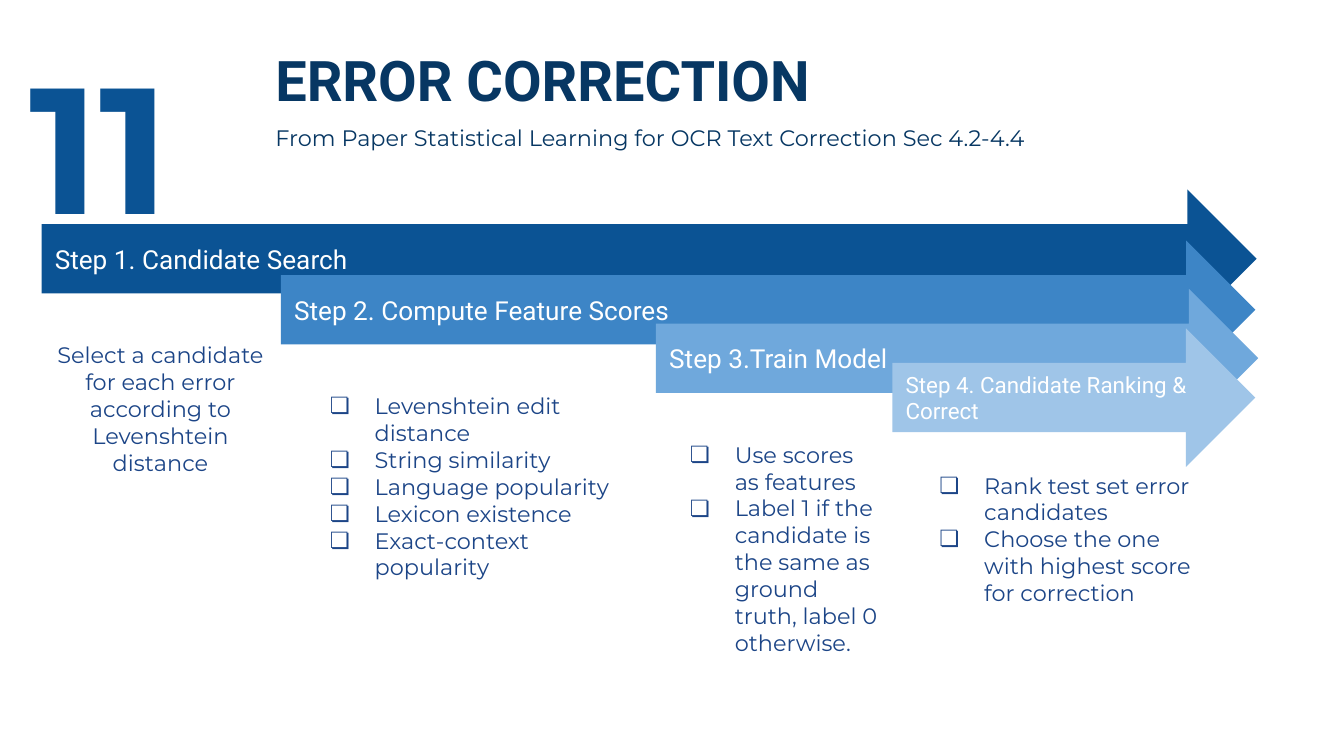
from typing import NamedTuple

from lxml.etree import SubElement
from pptx import Presentation
from pptx.dml.color import RGBColor
from pptx.enum.shapes import MSO_SHAPE as Preset
from pptx.enum.text import MSO_ANCHOR as Anchor, PP_ALIGN as Align
from pptx.oxml.ns import qn
from pptx.util import Pt

COLORS = {
    "title": "073763",
    "number": "0B5394",
    "body": "1C4587",
    "white": "FFFFFF",
    "step1": "0B5394",
    "step2": "3D85C6",
    "step3": "6FA8DC",
    "step4": "9FC5E8",
}
ARROW_HEIGHT = 74.2
INSET = 7.2
BULLET_INDENT = 36
BULLET_HANG = 24


class Style(NamedTuple):
    font: str
    size: float
    color: str
    bold: bool = False
    align: Align = Align.LEFT
    before: float = 0
    bullet: str = ""


class Line(NamedTuple):
    text: str
    style: Style


class Area(NamedTuple):
    left: float
    top: float
    width: float
    height: float


class Step(NamedTuple):
    label: str
    size: float
    color: str
    left: float
    top: float
    width: float


class Note(NamedTuple):
    area: Area
    style: Style
    texts: tuple[str, ...]


TITLE = Style("Roboto", 30, "title", bold=True, before=6)
SUBTITLE = Style("Montserrat", 12, "title", before=6)
NUMBER = Style("Montserrat", 96, "number", bold=True)
PLAIN = Style("Montserrat", 12, "body", align=Align.CENTER)
LISTED = Style("Montserrat", 12, "body", bullet="❏")

STEPS = (
    Step("Step 1. Candidate Search", 14, "step1", 22.3, 101.5, 650.9),
    Step("Step 2. Compute Feature Scores", 14, "step2", 150.5, 128.9, 522),
    Step("Step 3.Train Model", 14, "step3", 351.4, 154.8, 322.6),
    Step("Step 4. Candidate Ranking & Correct", 12, "step4", 478.1, 175.9, 194.4),
)

NOTES = (
    Note(Area(22.3, 175.7, 127.4, 184.3), PLAIN, (
        "Select a candidate for each error according to Levenshtein distance",
    )),
    Note(Area(157.7, 203, 184.3, 138.2), LISTED, (
        "Levenshtein edit distance",
        "String similarity",
        "Language popularity",
        "Lexicon existence",
        "Exact-context popularity",
    )),
    Note(Area(350.6, 229, 127.4, 110.9), LISTED, (
        "Use scores as features",
        "Label 1 if the candidate is the same as ground truth, label 0 otherwise.",
    )),
    Note(Area(484.2, 245.5, 163.4, 110.9), LISTED, (
        "Rank test set error candidates",
        "Choose the one with highest score for correction",
    )),
)


def color_of(name: str) -> RGBColor:
    """Return the named palette colour."""
    return RGBColor.from_string(COLORS[name])


def set_all(target, values: dict) -> None:
    """Set every attribute in values on target."""
    for name, value in values.items():
        setattr(target, name, value)


def add_bullet(para, style: Style) -> None:
    """Give a paragraph a hanging bullet."""
    props = para._p.get_or_add_pPr()
    props.set("marL", str(Pt(BULLET_INDENT)))
    props.set("indent", str(-Pt(BULLET_HANG)))
    tint = SubElement(props, qn("a:buClr"))
    SubElement(tint, qn("a:srgbClr"), val=COLORS[style.color])
    SubElement(props, qn("a:buFont"), typeface=style.font)
    SubElement(props, qn("a:buChar"), char=style.bullet)


def write(frame, lines: list[Line], anchor: Anchor = Anchor.TOP) -> None:
    """Fill a text frame with styled lines."""
    margins = {f"margin_{side}": Pt(INSET) for side in ("left", "top", "right", "bottom")}
    set_all(frame, {"word_wrap": True, "vertical_anchor": anchor, **margins})
    for index, (text, style) in enumerate(lines):
        para = frame.add_paragraph() if index else frame.paragraphs[0]
        set_all(para, {"alignment": style.align, "space_before": Pt(style.before)})
        if style.bullet:
            add_bullet(para, style)
        span = para.add_run()
        span.text = text
        set_all(span.font, {"name": style.font, "size": Pt(style.size), "bold": style.bold})
        span.font.color.rgb = color_of(style.color)


def add_text(page, area: Area, lines: list[Line]) -> None:
    """Add a text box holding the lines."""
    box = page.shapes.add_textbox(*map(Pt, area))
    write(box.text_frame, lines)


def add_step(page, step: Step) -> None:
    """Add a labelled step arrow."""
    area = Area(step.left, step.top, step.width, ARROW_HEIGHT)
    arrow = page.shapes.add_shape(Preset.RIGHT_ARROW, *map(Pt, area))
    arrow.shadow.inherit = False
    arrow.fill.solid()
    arrow.fill.fore_color.rgb = color_of(step.color)
    arrow.line.fill.background()
    label = Line(step.label, Style("Roboto", step.size, "white"))
    write(arrow.text_frame, [label], Anchor.MIDDLE)


def main() -> None:
    """Build the error correction slide."""
    deck = Presentation()
    set_all(deck, {"slide_width": Pt(720), "slide_height": Pt(405)})
    page = deck.slides.add_slide(deck.slide_layouts[6])
    add_text(page, Area(140.4, 17.3, 437.8, 56.9), [
        Line("ERROR CORRECTION", TITLE),
        Line("From Paper Statistical Learning for OCR Text Correction Sec 4.2-4.4", SUBTITLE),
    ])
    add_text(page, Area(8.6, 11.5, 142.6, 98.6), [Line("11", NUMBER)])
    for step in STEPS:
        add_step(page, step)
    for note in NOTES:
        add_text(page, note.area, [Line(text, note.style) for text in note.texts])
    deck.save("out.pptx")


if __name__ == "__main__":
    main()
